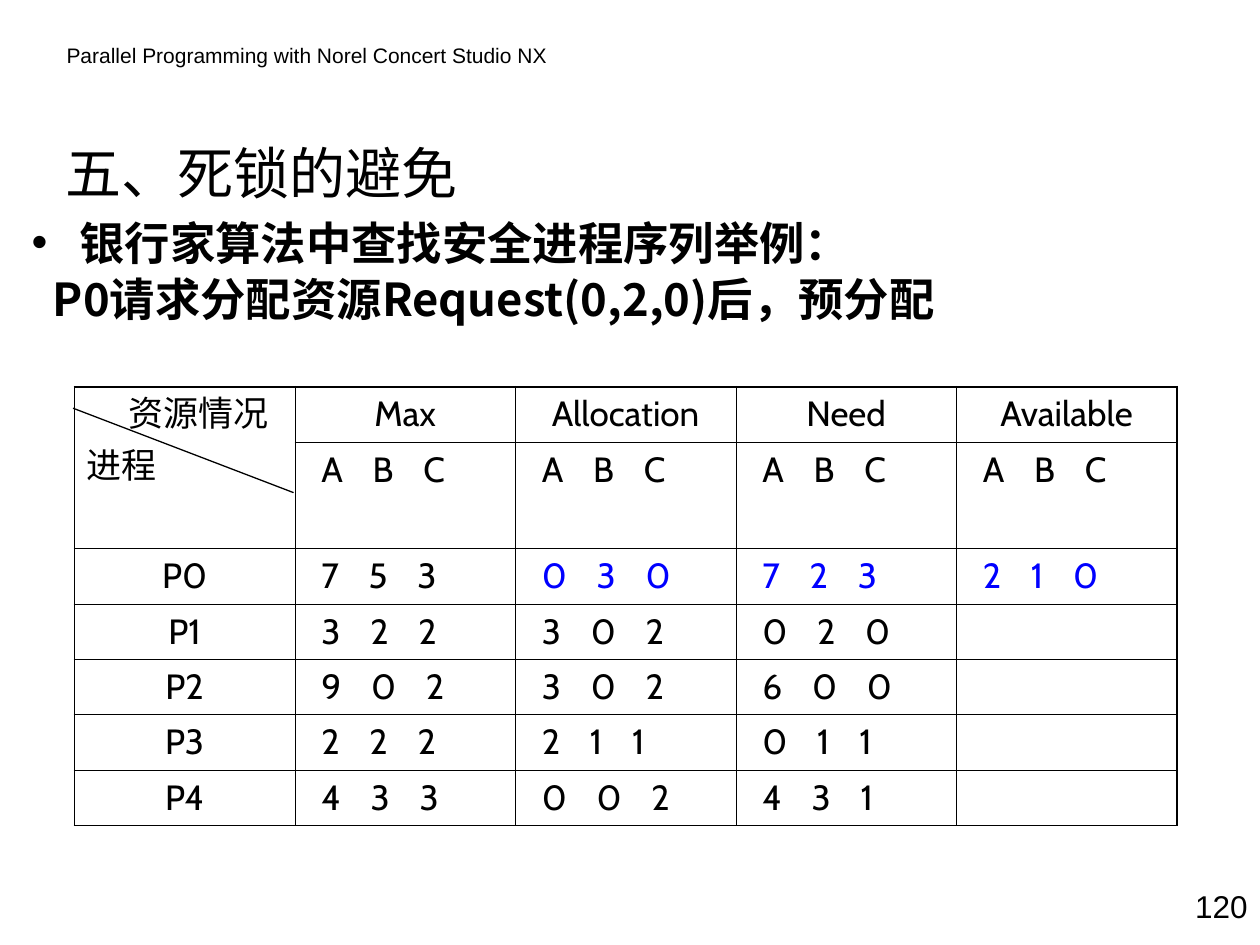
from lxml import etree
from pptx import Presentation
from pptx.enum import shapes, text
from pptx.oxml import ns
from pptx.util import Inches, Pt
from pptx.dml.color import RGBColor

COLORS = {"ink": "000000", "changed": "0000FF"}
CJK = "Noto Sans CJK SC"
LEFT, CENTER, RIGHT = text.PP_ALIGN.LEFT, text.PP_ALIGN.CENTER, text.PP_ALIGN.RIGHT

TABLE_LEFT, TABLE_TOP, COLUMN = 0.59, 3.07, 1.75
ROW, TALL_ROW = 0.43, 0.84
VALUE_GAP = 12.5
HEADINGS = ["Max", "Allocation", "Need", "Available"]
PROCESSES = {
    "P0": ["753", "030", "723", "210"],
    "P1": ["322", "302", "020"],
    "P2": ["902", "302", "600"],
    "P3": ["222", "211", "011"],
    "P4": ["433", "002", "431"],
}


def add_element(parent, tag, **attributes):
    child = etree.SubElement(parent, ns.qn(tag))
    for name, value in attributes.items():
        child.set(name, str(value))
    return child


def write(frame, words, size=20, font="Cabin", color="ink", bold=False, align=LEFT,
          before=0, spacing=None, margin=0, hanging=0, bullet=None, word_gap=0):
    """Write one paragraph; word_gap widens each space by that many points."""
    para = frame.paragraphs[0]
    if para.runs:
        para = frame.add_paragraph()
    properties = para._p.get_or_add_pPr()
    properties.set("marL", str(Inches(margin)))
    properties.set("indent", str(Inches(-hanging)))
    if bullet:
        add_element(properties, "a:buChar", char=bullet)
    else:
        add_element(properties, "a:buNone")
    para.alignment = align
    para.space_before = Pt(before)
    if spacing:
        para.line_spacing = spacing
    for piece in words if word_gap else [words]:
        span = para.add_run()
        span.text = piece
        span.font.size = Pt(size)
        span.font.bold = bold
        span.font.color.rgb = RGBColor.from_string(COLORS[color])
        span.font.name = font
        marks = span._r.get_or_add_rPr()
        add_element(marks, "a:ea", typeface=font)
        if word_gap and piece == " ":
            marks.set("spc", str(int(word_gap * 100)))


def set_frame(box, place, side=0.1, anchor=text.MSO_ANCHOR.TOP):
    box.left, box.top, box.width, box.height = map(Inches, place)
    frame = box.text_frame
    frame.word_wrap = True
    frame.auto_size = text.MSO_AUTO_SIZE.NONE
    frame.vertical_anchor = anchor
    frame.margin_left = frame.margin_right = Inches(side)
    frame.margin_top = frame.margin_bottom = Inches(0.05)
    return frame


def add_label(page, place, words, **style):
    box = page.shapes.add_textbox(0, 0, 0, 0)
    write(set_frame(box, place), words, font="Arial", **style)


def set_borders(cell, thick_sides):
    properties = cell._tc.get_or_add_tcPr()
    for side in "LRTB":
        width = 1.08 if side in thick_sides else 0.45
        line = add_element(properties, "a:ln" + side, w=Pt(width))
        fill = add_element(line, "a:solidFill")
        add_element(fill, "a:srgbClr", val=COLORS["ink"])
    cell.fill.background()


def write_triple(cell, values, color="ink"):
    """Write three widely spaced values in a cell."""
    cell.margin_left = Inches(0.21)
    write(cell.text_frame, " ".join(values), color=color, word_gap=VALUE_GAP)


def add_resource_table(page):
    heights = [ROW, TALL_ROW] + [ROW] * len(PROCESSES)
    rows, columns = len(heights), len(HEADINGS) + 1
    table = page.shapes.add_table(
        rows, columns, Inches(TABLE_LEFT), Inches(TABLE_TOP),
        Inches(COLUMN * columns), Inches(sum(heights))).table
    table.first_row = table.horz_banding = False
    for column in table.columns:
        column.width = Inches(COLUMN)
    for row, height in zip(table.rows, heights):
        row.height = Inches(height)
    for r in range(rows):
        for c in range(columns):
            edges = {"L": c == 0, "R": c == columns - 1, "T": r == 0, "B": r == rows - 1}
            set_borders(table.cell(r, c), [side for side in edges if edges[side]])

    corner = table.cell(0, 0)
    corner.merge(table.cell(1, 0))
    write(corner.text_frame, "资源情况", margin=0.33)
    write(corner.text_frame, "进程", before=5)
    for c, heading in enumerate(HEADINGS, 1):
        write(table.cell(0, c).text_frame, heading, align=CENTER)
        write_triple(table.cell(1, c), "ABC")
    for r, (process, triples) in enumerate(PROCESSES.items(), 2):
        write(table.cell(r, 0).text_frame, process, align=CENTER)
        for c, values in enumerate(triples, 1):
            changed = process == "P0" and c > 1
            write_triple(table.cell(r, c), values, "changed" if changed else "ink")


def add_corner_diagonal(page):
    line = page.shapes.add_connector(
        shapes.MSO_CONNECTOR.STRAIGHT, Inches(0.58), Inches(3.24),
        Inches(0.58 + COLUMN), Inches(3.91))
    line.line.color.rgb = RGBColor.from_string(COLORS["ink"])
    line.line.width = Pt(0.75)
    add_element(line._element.spPr, "a:effectLst")


def main():
    deck = Presentation()
    deck.slide_width, deck.slide_height = Inches(10), Inches(7.5)
    page = deck.slides.add_slide(deck.slide_layouts[1])
    title, body = page.placeholders

    add_label(page, (0.43, 0.29, 4.1, 0.3),
              "Parallel Programming with Norel Concert Studio NX", size=12)
    heading = set_frame(title, (0.42, 0.99, 9, 0.75), anchor=text.MSO_ANCHOR.MIDDLE)
    write(heading, "五、死锁的避免", size=32, font=CJK)

    points = set_frame(body, (0.25, 1.74, 9.75, 0.92), side=0)
    style = dict(size=25.9, font=CJK, bold=True, spacing=0.8)
    write(points, "银行家算法中查找安全进程序列举例：",
          margin=0.38, hanging=0.38, bullet="•", **style)
    write(points, "P0请求分配资源Request(0,2,0)后，预分配", margin=0.17, before=7, **style)

    add_label(page, (9.08, 6.99, 0.92, 0.4), "120", size=18, align=RIGHT)
    add_resource_table(page)
    add_corner_diagonal(page)
    deck.save("out.pptx")


if __name__ == "__main__":
    main()
